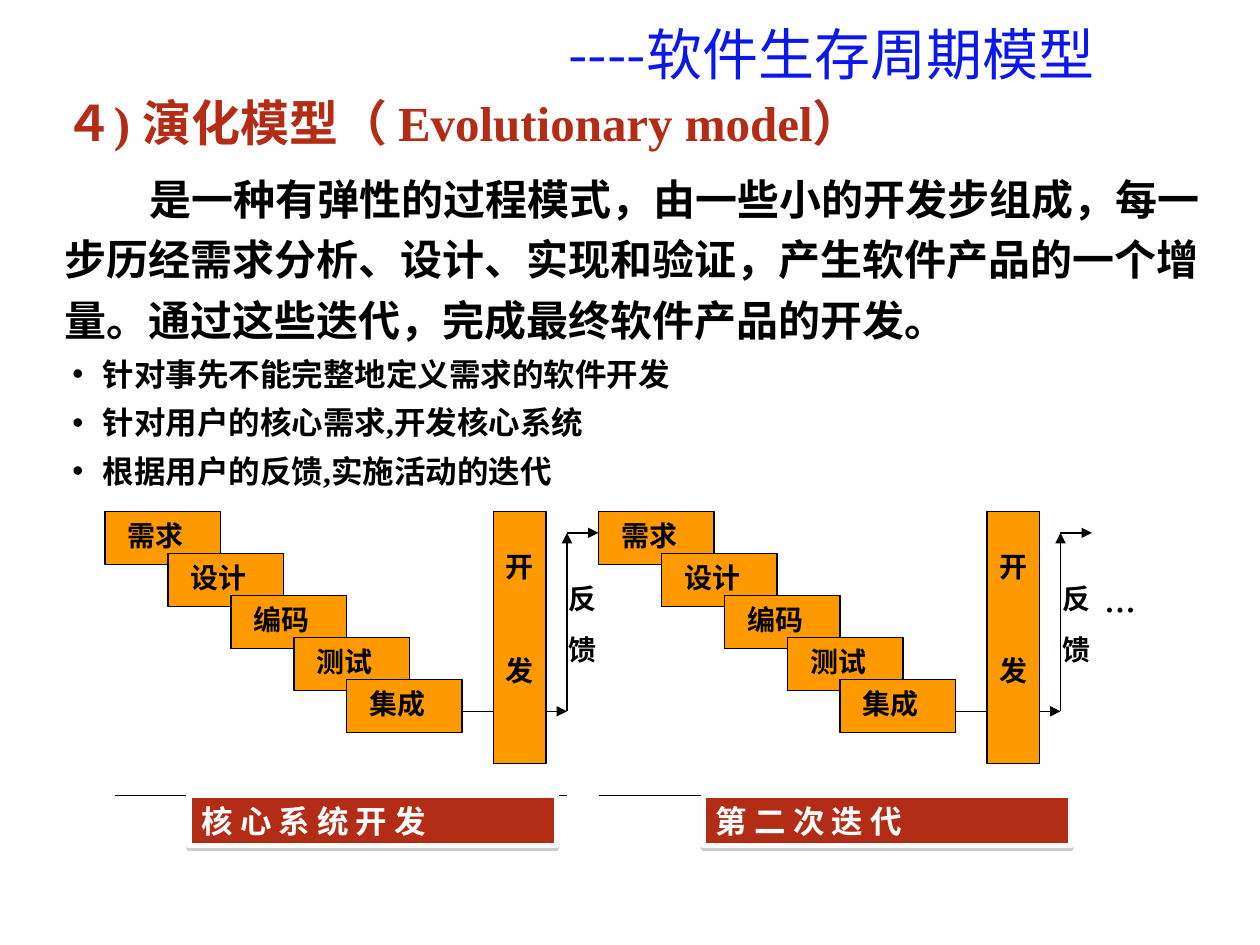
from lxml.etree import SubElement
from pptx import Presentation
from pptx.dml.color import RGBColor
from pptx.enum.shapes import MSO_CONNECTOR as Connector, MSO_SHAPE as Shape
from pptx.enum.text import MSO_ANCHOR as Anchor, MSO_AUTO_SIZE as AutoSize, PP_ALIGN as Align
from pptx.oxml.ns import qn
from pptx.util import Inches, Pt

BLACK = RGBColor(0x00, 0x00, 0x00)
WHITE = RGBColor(0xFF, 0xFF, 0xFF)
ORANGE = RGBColor(0xFF, 0x99, 0x00)
RED = RGBColor(0xB3, 0x2C, 0x16)
BLUE = RGBColor(0x0C, 0x17, 0xEA)

CELL = Inches(1) / 12        # the slide is a grid of 120 columns by 90 rows
TOP = 48.75                  # first row of the diagram
CYCLE = 47                   # columns from one iteration to the next
STAGES = [("需求", 0), ("设计", 6), ("编码", 12), ("测试", 18), ("集成", 23)]


def grid(*cells):
    return [round(cell * CELL) for cell in cells]


class SlideBuilder:
    serif = "Times New Roman"

    def __init__(self, presentation):
        self.slide = presentation.slides.add_slide(presentation.slide_layouts[6])

    def style(self, paragraph, size, color=BLACK, bold=True, before=10, spacing=None, font=None):
        paragraph.space_before = Pt(before)
        if spacing:
            paragraph.line_spacing = spacing
        for run in paragraph.runs:
            run.font.name = font or self.serif
            run.font.size = Pt(size)
            run.font.bold = bold
            run.font.color.rgb = color

    def indent(self, paragraph, first, left=0, bullet=None):
        properties = paragraph._p.get_or_add_pPr()
        properties.set("marL", str(Inches(left)))
        properties.set("indent", str(Inches(first)))
        if bullet:
            SubElement(properties, qn("a:buFont"), typeface="Arial")
            SubElement(properties, qn("a:buChar"), char=bullet)

    def text(self, lines, left, top, width, height, size=16, **look):
        box = self.slide.shapes.add_textbox(*grid(left, top, width, height))
        frame = box.text_frame
        frame.word_wrap = True
        frame.auto_size = AutoSize.SHAPE_TO_FIT_TEXT
        frame.text = "\n".join(lines)
        for paragraph in frame.paragraphs:
            self.style(paragraph, size, **look)
        return frame.paragraphs

    def box(self, left, top, width, height, fill=ORANGE, line=BLACK, weight=0.75):
        shape = self.slide.shapes.add_shape(Shape.RECTANGLE, *grid(left, top, width, height))
        shape.shadow.inherit = False
        shape.fill.solid()
        shape.fill.fore_color.rgb = fill
        shape.line.color.rgb = line
        shape.line.width = Pt(weight)
        return shape

    def line(self, start, end, arrow=False):
        connector = self.slide.shapes.add_connector(Connector.STRAIGHT, *grid(*start, *end))
        connector.line.color.rgb = BLACK
        connector.line.width = Pt(0.75)
        if arrow:
            SubElement(connector.line._get_or_add_ln(), qn("a:tailEnd"), type="triangle")
        SubElement(connector._element.spPr, qn("a:effectLst"))

    def banner(self, text, left, top):
        shape = self.box(left, top, 35, 4.8, RED, WHITE, 3)
        effects = shape._element.spPr.find(qn("a:effectLst"))
        shadow = SubElement(effects, qn("a:outerShdw"), blurRad="0",
                            dist=str(Pt(1.6)), dir="5400000", rotWithShape="0")
        color = SubElement(shadow, qn("a:srgbClr"), val="808080")
        SubElement(color, qn("a:alpha"), val="38000")
        frame = shape.text_frame
        frame.word_wrap = True
        frame.vertical_anchor = Anchor.TOP
        frame.text = text
        frame.paragraphs[0].alignment = Align.LEFT
        self.style(frame.paragraphs[0], 18, WHITE, before=11.2)

    def iteration(self, left):
        # Staircase of stages
        for step, (name, column) in enumerate(STAGES):
            row = TOP + 4 * step
            self.box(left + column, row, 11, 5)
            self.text([name], left + column + 1, row, 10, 4.4)

        # Development bar
        bar = left + 37
        self.box(bar, TOP, 5, 24)
        develop = self.text(["开", "发"], bar, TOP + 3, 6, 14.2)
        develop[1].space_before = Pt(40)

        # Feedback loop
        low, high, turn = TOP + 19, TOP + 2, bar + 7
        self.line((bar - 3, low), (bar, low))
        self.line((bar + 5, low), (turn, low), arrow=True)
        self.line((turn, low), (turn, high), arrow=True)
        self.line((turn, high), (turn + 3, high), arrow=True)
        self.text(["反", "馈"], bar + 6, TOP + 6, 5, 9.2)


def main():
    presentation = Presentation()
    presentation.slide_width, presentation.slide_height = grid(120, 90)
    builder = SlideBuilder(presentation)

    # Two iterations and what follows
    for number in range(2):
        builder.iteration(10 + number * CYCLE)
    builder.text(["..."], 104, TOP + 5, 10, 6, size=24, bold=False, before=15)

    # Base lines with captions
    base = TOP + 27
    for start in (11, 57):
        builder.line((start, base), (start + 43, base))
    builder.banner("核 心 系 统 开 发", 18, base)
    builder.banner("第 二 次 迭 代", 67, base)

    # Heading, description and bullet points
    heading, description, *points = builder.text([
        "４) 演化模型（ Evolutionary model）",
        "是一种有弹性的过程模式，由一些小的开发步组成，每一步历经需求分析、设计、实现和验证，"
        "产生软件产品的一个增量。通过这些迭代，完成最终软件产品的开发。",
        "针对事先不能完整地定义需求的软件开发",
        "针对用户的核心需求,开发核心系统",
        "根据用户的反馈,实施活动的迭代",
    ], 5, 8.9, 112, 38.4, size=18, before=6)
    builder.style(heading, 28, RED, before=6, spacing=0.9)
    builder.style(description, 24, before=6, spacing=1.2)
    builder.indent(description, 0.67)
    for point in points:
        builder.indent(point, -0.24, 0.3, "•")

    # Title
    title, = builder.text(["----软件生存周期模型"], 40.3, 0, 77.8, 8.9, size=32, color=BLUE,
                          bold=False, before=20, spacing=1.2, font="Noto Sans CJK JP")
    title.alignment = Align.CENTER

    presentation.save("out.pptx")


if __name__ == "__main__":
    main()
